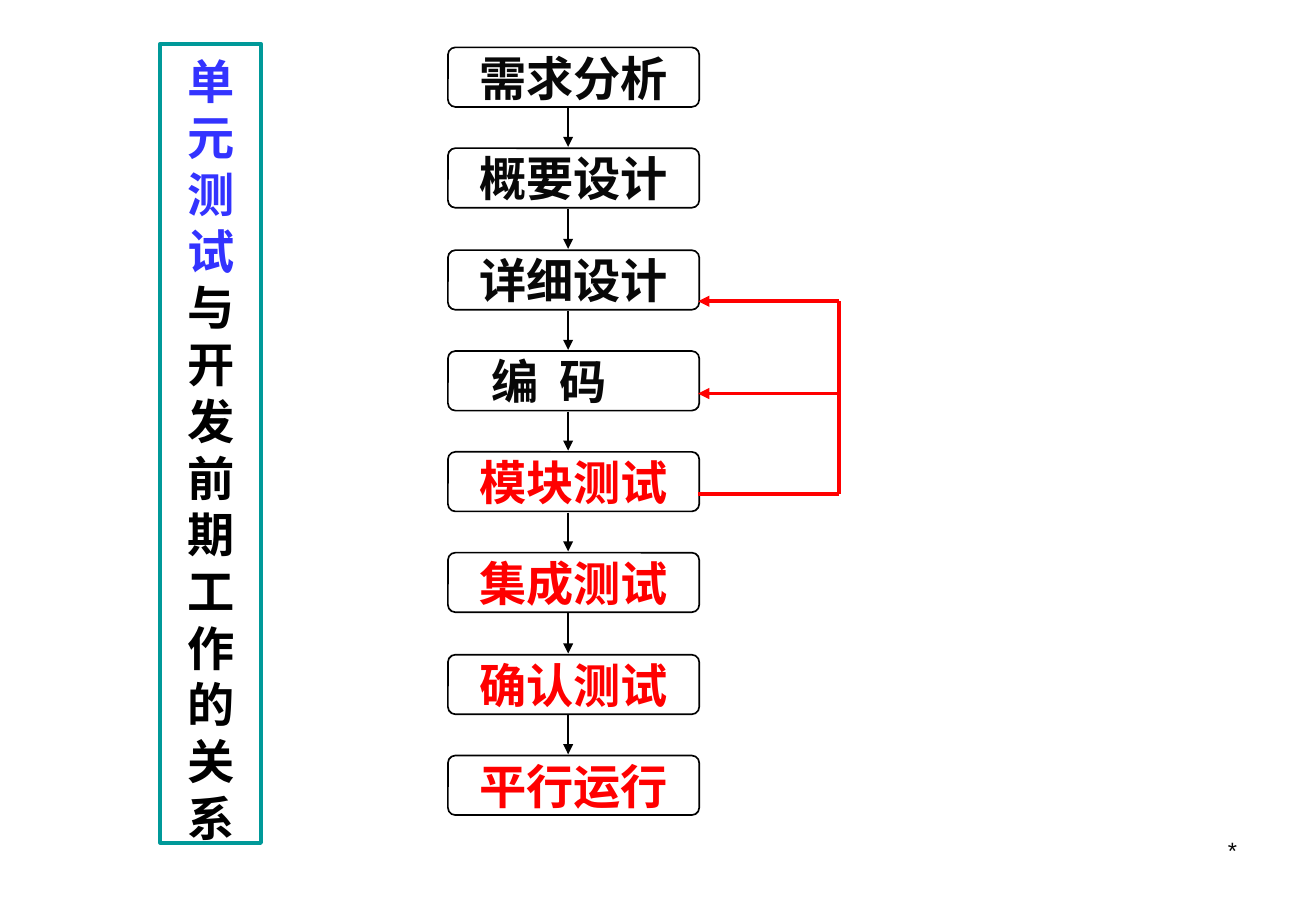
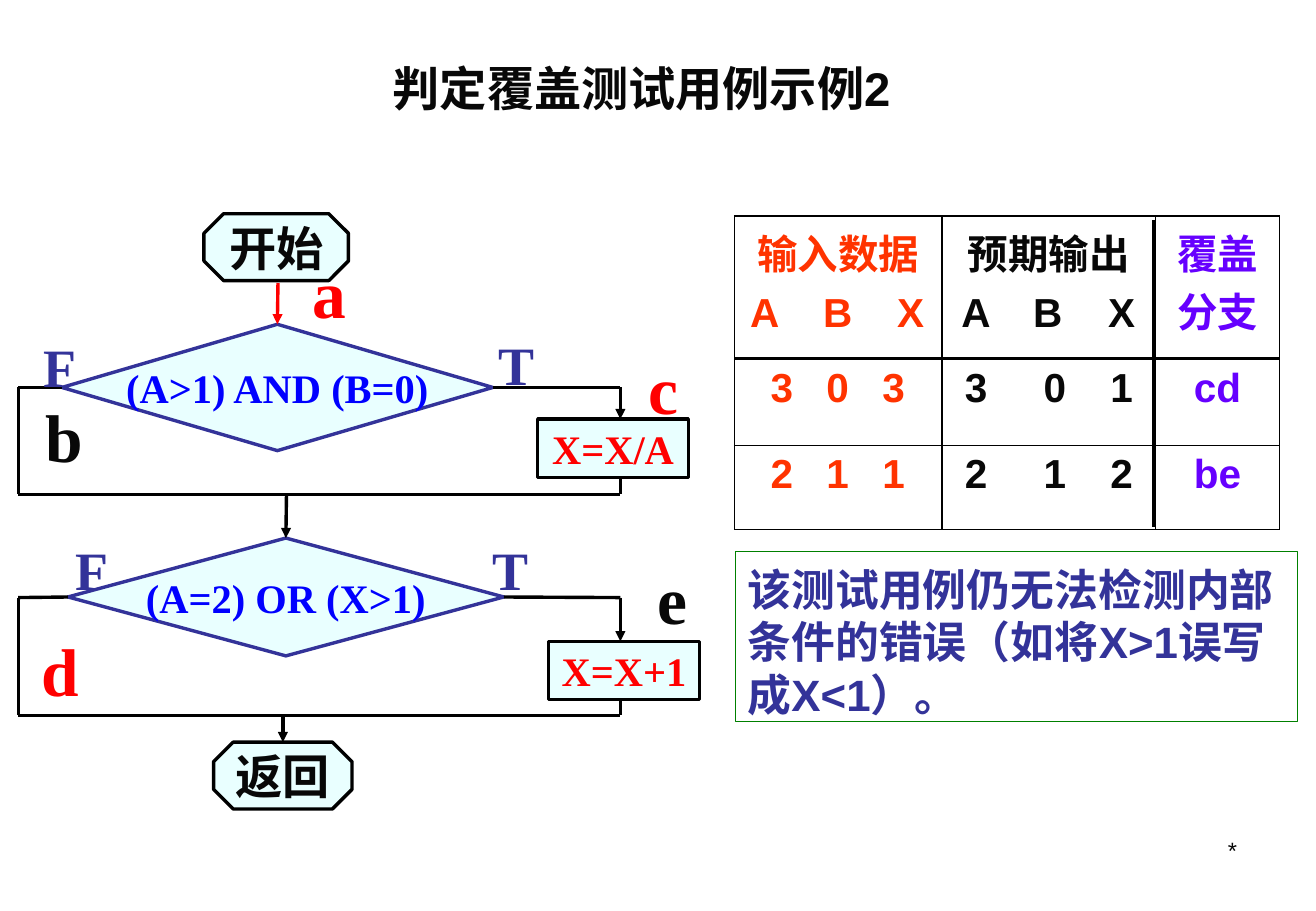
from itertools import pairwise

from lxml.etree import SubElement
from pptx import Presentation
from pptx.dml.color import RGBColor
from pptx.enum.shapes import MSO_CONNECTOR, MSO_SHAPE
from pptx.enum.text import MSO_ANCHOR, MSO_AUTO_SIZE, PP_ALIGN
from pptx.oxml.ns import qn
from pptx.util import Inches, Pt

W, H = 10.84, 7.5
CJK, SANS, SERIF = "Noto Sans CJK SC", "Arial", "Times New Roman"
BLACK, INK, RED, NAVY = "000000", "080808", "FF0000", "333399"
BLUE, TITLE_BLUE, TEAL, GREEN = "0000FF", "3333FF", "009999", "008000"
ORANGE, VIOLET, PALE = "FF3300", "6600FF", "E9FFFF"


def rgb(color):
    return RGBColor.from_string(color)


def inches(*values):
    return [Inches(round(v, 2)) for v in values]


# Text
def add_run(p, text, size, color, font=CJK, bold=True):
    r = p.add_run()
    r.text = text
    r.font.size, r.font.bold, r.font.name = Pt(size), bold, font
    r.font.color.rgb = rgb(color)
    SubElement(r.font._element, qn("a:ea")).set("typeface", CJK)


def add_tabs(p, stops, align="ctr"):
    tabs = SubElement(p._p.get_or_add_pPr(), qn("a:tabLst"))
    for stop in stops:
        tab = SubElement(tabs, qn("a:tab"))
        tab.set("pos", str(Inches(stop)))
        tab.set("algn", align)


def frame(sp, anchor=MSO_ANCHOR.MIDDLE, align=PP_ALIGN.CENTER, wrap=True):
    tf = sp.text_frame
    tf.word_wrap, tf.auto_size = wrap, MSO_AUTO_SIZE.NONE
    tf.vertical_anchor = anchor
    p = tf.paragraphs[0]
    p.alignment = align
    return tf, p


def add_label(s, box, text, size, color, font, align=PP_ALIGN.LEFT, bold=True):
    sp = s.shapes.add_textbox(*inches(*box))
    _, p = frame(sp, MSO_ANCHOR.TOP, align)
    add_run(p, text, size, color, font, bold)


# Shapes and lines
def outline(sp, color, width):
    sp.line.color.rgb, sp.line.width = rgb(color), Pt(width)


def add_box(s, kind, box, line, width, fill=None):
    sp = s.shapes.add_shape(kind, *inches(*box))
    sp.shadow.inherit = False
    outline(sp, line, width)
    if fill:
        sp.fill.solid()
        sp.fill.fore_color.rgb = rgb(fill)
    else:
        sp.fill.background()
    return sp


def add_line(s, start, end, color=BLACK, width=2, arrow=False):
    c = s.shapes.add_connector(MSO_CONNECTOR.STRAIGHT, *inches(*start, *end))
    outline(c, color, width)
    if arrow:
        SubElement(c.line._get_or_add_ln(), qn("a:tailEnd")).set("type", "triangle")
    SubElement(c._element.spPr, qn("a:effectLst"))
    return c


# Shared slide frame: placed title and footer mark
def new_slide(prs, title_box, title_runs):
    s = prs.slides.add_slide(prs.slide_layouts[5])
    title = s.shapes.title
    title.left, title.top, title.width, title.height = inches(*title_box)
    tf, p = frame(title)
    for text, color in title_runs:
        add_run(p, text, 28, color)
    add_label(s, (7.76, 6.83, 2.53, 0.52), "*", 14, INK, SANS, PP_ALIGN.RIGHT, False)
    return s, title


# Slide 1: development phases and feedback
def phase_chain(s, x, y, w, h, pitch, phases):
    for i, (text, color) in enumerate(phases):
        top = y + i * pitch
        sp = add_box(s, MSO_SHAPE.ROUNDED_RECTANGLE, (x, top, w, h), BLACK, 1)
        sp.adjustments[0] = 0.125
        tf, p = frame(sp, align=PP_ALIGN.LEFT)
        tf.margin_left = Inches(0.24)
        if "\t" in text:
            add_tabs(p, (0.1, 0.66), "l")
        add_run(p, text, 28, color)
        if i:
            add_line(s, (x + 0.99, top - pitch + h + 0.01), (x + 0.99, top - 0.01),
                     width=1, arrow=True)


def feedback_loop(s, x, y, w, targets, source):
    rail = x + w
    add_line(s, (x, y + source), (rail, y + source), RED, 2.25)
    add_line(s, (rail, y + targets[0]), (rail, y + source), RED, 2.25)
    for target in targets:
        add_line(s, (rail, y + target), (x, y + target), RED, 2.25, True)


def process_slide(prs):
    s, title = new_slide(prs, (1.32, 0.36, 0.83, 6.58),
                         [("单元测试", TITLE_BLUE), ("与开发前期工作的关系", BLACK)])
    outline(title, TEAL, 2.25)
    tf = title.text_frame
    tf.margin_top, tf.margin_bottom = inches(0.09, 0)
    tf.paragraphs[0].line_spacing = Pt(33.6)
    design = ["需求分析", "概要设计", "详细设计", "\t编\t码"]
    tests = ["模块测试", "集成测试", "确认测试", "平行运行"]
    phase_chain(s, 3.69, 0.39, 2.07, 0.49, 0.833,
                [(t, INK) for t in design] + [(t, RED) for t in tests])
    feedback_loop(s, 5.75, 0.39, 1.16, (2.09, 2.85), 3.68)


# Slide 2: flowchart, test case table and remark
def flow_node(s, kind, box, text, line=BLACK, color=RED, size=24, font=SERIF):
    sp = add_box(s, kind, box, line, 2, PALE)
    _, p = frame(sp, wrap=False)
    add_run(p, text, size, color, font)
    return sp


def terminal(s, box, text):
    flow_node(s, MSO_SHAPE.OCTAGON, box, text, color=INK, size=28, font=CJK)


def decision(s, box, condition, step_box, step, merge):
    x, y, w, h = box
    mid, rail, drop, join = y + h / 2, 0.15, 5.11, 2.36
    diamond = flow_node(s, MSO_SHAPE.DIAMOND, box, condition, NAVY, BLUE)
    flow_node(s, MSO_SHAPE.RECTANGLE, step_box, step)
    # False branch on the left, true branch on the right
    add_line(s, (x, mid), (rail, mid)).begin_connect(diamond, 1)
    add_line(s, (x + w, mid), (drop, mid)).begin_connect(diamond, 3)
    add_line(s, (drop, mid), (drop, step_box[1]), arrow=True)
    for start, end in pairwise([(rail, mid), (rail, merge), (join, merge),
                                (drop, merge), (drop, step_box[1] + step_box[3])]):
        add_line(s, start, end)
    return diamond


def flowchart(s):
    terminal(s, (1.68, 1.76, 1.19, 0.55), "开始")
    first = decision(s, (0.51, 2.67, 3.55, 1.04), "(A>1) AND (B=0)",
                     (4.43, 3.45, 1.24, 0.48), "X=X/A", 4.07)
    second = decision(s, (0.56, 4.43, 3.59, 0.97), "(A=2) OR (X>1)",
                      (4.52, 5.28, 1.24, 0.48), "X=X+1", 5.89)
    terminal(s, (1.76, 6.11, 1.14, 0.55), "返回")
    add_line(s, (2.29, 2.33), (2.29, 2.67), RED, arrow=True).end_connect(first, 0)
    add_line(s, (2.36, 4.07), (2.36, 4.43), arrow=True).end_connect(second, 0)
    add_line(s, (2.33, 5.89), (2.33, 6.11), arrow=True)
    for text, x, y in [("F", 0.26, 2.7), ("F", 0.52, 4.37),
                       ("T", 4.01, 2.68), ("T", 3.96, 4.37)]:
        add_label(s, (x, y, 0.5, 0.63), text, 32, NAVY, SERIF)
    for text, x, y, color in [("a", 2.48, 2.02, RED), ("b", 0.28, 3.2, INK),
                              ("c", 5.24, 2.81, RED), ("d", 0.24, 5.13, RED),
                              ("e", 5.32, 4.54, INK)]:
        add_label(s, (x, y, 0.53, 0.76), text, 40, color, SERIF)


def cell_borders(cell):
    tcPr = cell._tc.get_or_add_tcPr()
    for side in ("lnL", "lnR", "lnT", "lnB"):
        ln = SubElement(tcPr, qn(f"a:{side}"))
        ln.set("w", str(Pt(1)))
        fill = SubElement(ln, qn("a:solidFill"))
        SubElement(fill, qn("a:srgbClr")).set("val", BLACK)


def case_table(s, x, y):
    cols, heights = (1.71, 1.76, 1.02), (1.18, 0.71, 0.69)
    w, h = sum(cols), sum(heights)
    rows = [[["输入数据", "\tA\tB\tX"], ["预期输出", "\tA\tB\tX"], ["覆盖分支"]],
            [["\t3\t0\t3"], ["\t3\t0\t1"], ["cd"]],
            [["\t2\t1\t1"], ["\t2\t1\t2"], ["be"]]]
    head_stops = [(0.15, 0.75, 1.35), (0.18, 0.77, 1.38)]
    value_stops = [(0.29, 0.75, 1.21), (0.18, 0.83, 1.38)]
    table = s.shapes.add_table(3, 3, *inches(x, y, w, h)).table
    for col, width in zip(table.columns, cols):
        col.width = Inches(width)
    for i, (row, height) in enumerate(zip(table.rows, heights)):
        row.height = Inches(height)
        for j, color in enumerate((ORANGE, INK, VIOLET)):
            cell = table.cell(i, j)
            cell_borders(cell)
            cell.fill.background()
            tf = cell.text_frame
            for k, text in enumerate(rows[i][j]):
                p = tf.add_paragraph() if k else tf.paragraphs[0]
                tabbed = "\t" in text
                p.alignment = PP_ALIGN.LEFT if tabbed else PP_ALIGN.CENTER
                if k:
                    p.space_before = Pt(6)
                if tabbed:
                    add_tabs(p, (value_stops if i else head_stops)[j])
                add_run(p, text, 24, color, SANS)
    # Heavier rules over the grid
    for rule, width in ((cols[0], 1.5), (cols[0] + cols[1] - 0.02, 1.75)):
        add_line(s, (x + rule, y + 0.03), (x + rule, y + h - 0.02), width=width)
    add_line(s, (x, y + heights[0] - 0.01), (x + w, y + heights[0] - 0.01), width=1.5)


def remark(s, box):
    sp = add_box(s, MSO_SHAPE.RECTANGLE, box, GREEN, 0.75)
    tf, p = frame(sp, MSO_ANCHOR.TOP, PP_ALIGN.LEFT)
    tf.margin_top = Inches(0.09)
    p.line_spacing = Pt(31.2)
    add_run(p, "该测试用例仍无法检测内部条件的错误（如将X>1误写成X<1）。", 26, NAVY, SANS)


def coverage_slide(prs):
    s, title = new_slide(prs, (3.09, 0.44, 4.39, 0.57), [])
    title.text_frame.word_wrap = False
    add_run(title.text_frame.paragraphs[0], "判定覆盖测试用例示例2", 28, INK, SANS)
    flowchart(s)
    case_table(s, 6.05, 1.78)
    remark(s, (6.06, 4.54, 4.63, 1.4))


def main():
    prs = Presentation()
    prs.slide_width, prs.slide_height = inches(W, H)
    process_slide(prs)
    coverage_slide(prs)
    prs.save("out.pptx")


if __name__ == "__main__":
    main()
